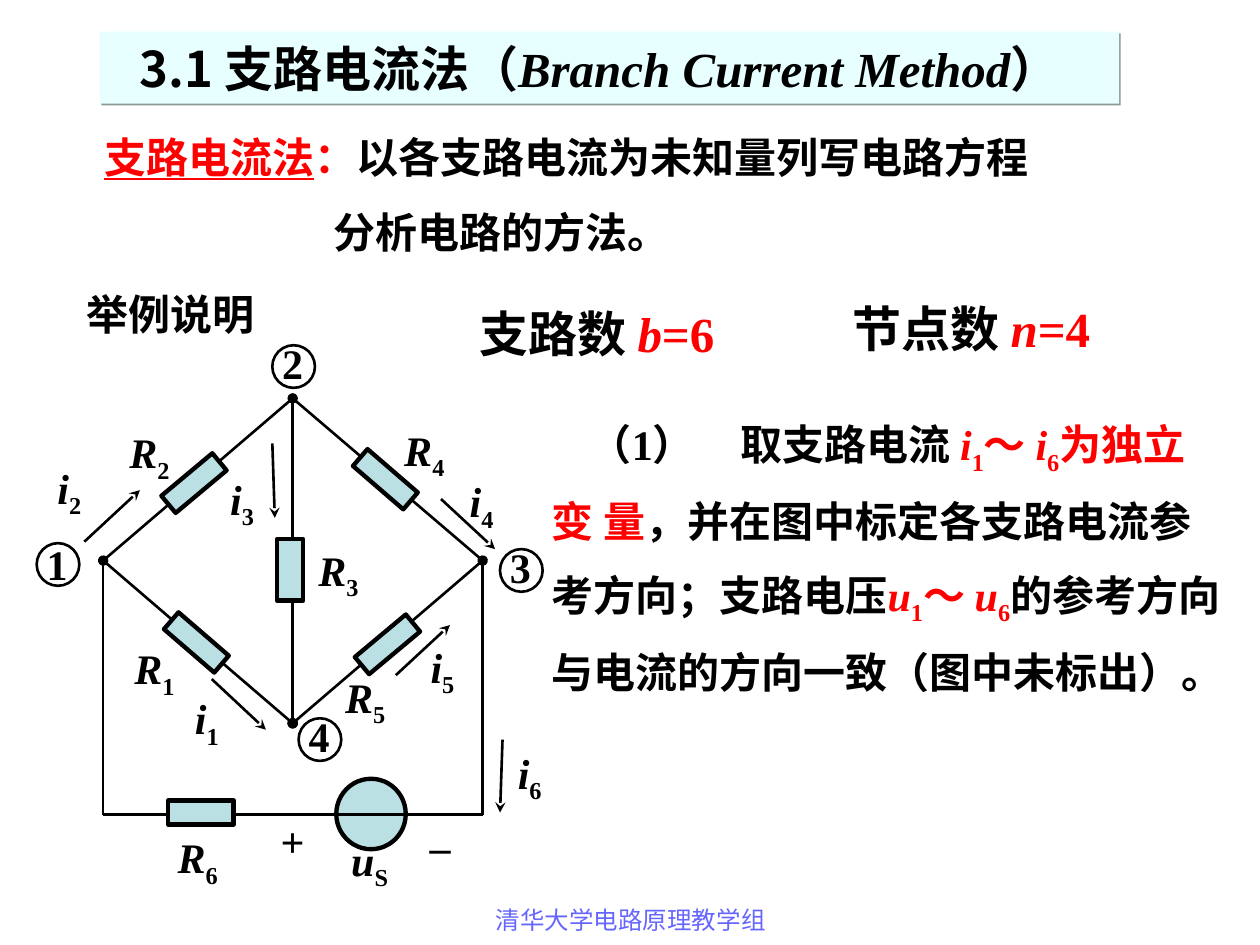
from lxml import etree
from pptx import Presentation
from pptx.dml.color import RGBColor
from pptx.enum.shapes import MSO_CONNECTOR as Wire, MSO_SHAPE as Shape
from pptx.enum.text import PP_ALIGN as Align
from pptx.oxml.ns import qn
from pptx.util import Cm, Pt

COLORS = {"ink": "000000", "red": "FF0000", "part": "BBE0E3",
          "banner": "E7FFFF", "shade": "8A9898", "footer": "6666FF"}
LATIN, CHINESE = "Times New Roman", "Noto Sans CJK SC"

# Span styles
PLAIN = {}
ITALIC = {"italic": True}
SUB = {"sub": True}
RED = {"color": "red"}
RED_ITALIC = {**RED, **ITALIC}
RED_SUB = {**RED, **SUB}
HEADING = {"name": CHINESE}

# Circuit, in centimetres
TOP, LEFT, RIGHT, BOTTOM = (5.9, 8.03), (2.08, 11.3), (9.73, 11.3), (5.9, 14.58)
LOW_LEFT, LOW_RIGHT = (2.08, 16.42), (9.73, 16.42)
WIRES = [  # start, end, dots at both ends
    (TOP, BOTTOM, True), (TOP, RIGHT, False), (LEFT, BOTTOM, True),
    (RIGHT, BOTTOM, True), (TOP, LEFT, False), (LEFT, LOW_LEFT, False),
    (RIGHT, LOW_RIGHT, False), (LOW_LEFT, LOW_RIGHT, False),
]
SOURCE = (6.78, 15.7, 1.4, 1.42)
RESISTORS = [  # centre x, centre y, width, length, rotation
    (5.85, 11.49, 0.53, 1.24, 0),
    (3.91, 9.74, 0.45, 1.34, 50.1),
    (7.77, 9.66, 0.45, 1.34, 310.8),
    (7.81, 12.99, 0.45, 1.34, 50.1),
    (3.96, 12.95, 0.45, 1.34, 310.8),
    (4.05, 16.38, 0.48, 1.32, 90),
]
CURRENTS = [  # start, end
    ((1.7, 10.92), (2.82, 9.88)), ((7.98, 13.61), (9.07, 12.6)),
    ((4.27, 13.69), (5.36, 14.71)), ((8.89, 10.06), (9.98, 11.07)),
    ((5.49, 8.94), (5.54, 10.44)), ((10.13, 14.91), (10.08, 16.38)),
]
SYMBOLS = [  # letter, subscript, left, top
    ("R", "1", 2.46, 12.83), ("R", "2", 2.36, 8.48), ("R", "3", 6.17, 10.85),
    ("R", "4", 7.9, 8.43), ("R", "5", 6.71, 13.41), ("R", "6", 3.33, 16.64),
    ("i", "1", 3.68, 13.84), ("i", "2", 0.91, 9.19), ("i", "3", 4.39, 9.42),
    ("i", "4", 9.22, 9.47), ("i", "5", 8.43, 12.8), ("i", "6", 10.19, 14.94),
    ("u", "S", 6.83, 16.69),
]
SIGNS = [("+", 5.41, 16.31), ("–", 8.41, 16.41)]
NODES = [  # number, circle left, circle top, number top
    ("1", 0.74, 10.95, 10.74), ("2", 5.49, 6.96, 6.68),
    ("3", 10.08, 11.07, 10.8), ("4", 6.02, 14.48, 14.2),
]

# Text: each paragraph is a list of (text, style)
TITLE = [("3.1 支路电流法（", HEADING),
         ("Branch Current Method", ITALIC), ("）", HEADING)]
DEFINITION = [
    [("支路电流法", {**RED, "underline": True}), ("：", RED),
     ("以各支路电流为未知量列写电路方程", PLAIN)],
    [("分析电路的方法。", PLAIN)],
]
STEP = [
    ("（1）\t取支路电流 ", PLAIN),
    ("i", RED_ITALIC), ("1", RED_SUB), ("～ ", RED),
    ("i", RED_ITALIC), ("6", RED_SUB), ("为独立变 量", RED),
    ("，并在图中标定各支路电流参考方向；支路电压", PLAIN),
    ("u", RED_ITALIC), ("1", RED_SUB), ("～ ", RED),
    ("u", RED_ITALIC), ("6", RED_SUB),
    ("的参考方向 与电流的方向一致（图中未标出）。", PLAIN),
]
EXAMPLE = [("举例说明", PLAIN)]
COUNTS = [  # label, variable, value, left, top
    ("支路数 ", "b", "=6", 9.42, 5.99), ("节点数 ", "n", "=4", 16.94, 5.89)]
FOOTER = [("清华大学电路原理教学组", {"color": "footer", "bold": False})]


def rgb(name):
    return RGBColor.from_string(COLORS[name])


def add_child(parent, tag, **attributes):
    return etree.SubElement(parent, qn(tag), attributes)


def write(box, paragraphs, size=24, **para_format):
    frame = box.text_frame
    frame.word_wrap = True
    for index, spans in enumerate(paragraphs):
        para = frame.add_paragraph() if index else frame.paragraphs[0]
        for key, value in para_format.items():
            setattr(para, key, value)
        for text, style in spans:
            span = para.add_run()
            span.text = text
            look = {"name": LATIN, "bold": True, "size": Pt(size), **style}
            span.font.color.rgb = rgb(look.pop("color", "ink"))
            lowered = look.pop("sub", False)
            for key, value in look.items():
                setattr(span.font, key, value)
            props = span.font._element
            add_child(props, "a:ea", typeface=CHINESE)
            if lowered:
                props.set("baseline", "-25000")


def add_text(page, place, paragraphs, **options):
    box = page.shapes.add_textbox(*map(Cm, place))
    write(box, paragraphs, **options)
    return box


def add_shape(page, kind, place, fill=None, line=None, rotation=0):
    shape = page.shapes.add_shape(kind, *map(Cm, place))
    shape.shadow.inherit = False
    shape.rotation = rotation
    if fill:
        shape.fill.solid()
        shape.fill.fore_color.rgb = rgb(fill)
    else:
        shape.fill.background()
    if line:
        shape.line.color.rgb = rgb("ink")
        shape.line.width = Pt(line)
    else:
        shape.line.fill.background()
    return shape


def add_line(page, start, end, head=None, tail=None):
    line = page.shapes.add_connector(Wire.STRAIGHT, *map(Cm, start + end))
    line.line.color.rgb = rgb("ink")
    line.line.width = Pt(1.5)
    for tag, kind in (("a:headEnd", head), ("a:tailEnd", tail)):
        if kind:
            add_child(line.line._get_or_add_ln(), tag, type=kind)
    add_child(line._element.spPr, "a:effectLst")


def draw_circuit(page):
    add_shape(page, Shape.OVAL, SOURCE, "part", 2.5)
    for start, end, dots in WIRES:
        dot = "oval" if dots else None
        add_line(page, start, end, dot, dot)
    for x, y, width, length, rotation in RESISTORS:
        place = (x - width / 2, y - length / 2, width, length)
        add_shape(page, Shape.RECTANGLE, place, "part", 2.5, rotation)
    for start, end in CURRENTS:
        add_line(page, start, end, tail="stealth")
    for letter, index, left, top in SYMBOLS:
        add_text(page, (left, top, 1.47, 1.42), [[(letter, ITALIC), (index, SUB)]])
    for sign, left, top in SIGNS:
        add_text(page, (left, top, 1.37, 1.27), [[(sign, PLAIN)]])
    for number, left, top, text_top in NODES:
        add_text(page, (left - 0.05, text_top, 1.09, 1.27), [[(number, PLAIN)]])
        add_shape(page, Shape.OVAL, (left, top, 0.86, 0.86), line=1.5)


def draw_title(page):
    banner = add_shape(page, Shape.RECTANGLE, (2.01, 0.64, 20.55, 1.45), "banner")
    effects = banner._element.spPr.find(qn("a:effectLst"))
    shadow = add_child(effects, "a:outerShdw", dist=str(Pt(1.4)), dir="2700000")
    add_child(shadow, "a:srgbClr", val=COLORS["shade"])
    write(banner, [TITLE], size=28, alignment=Align.CENTER)
    banner.text_frame.margin_right = Cm(0.65)


def draw_text(page):
    add_text(page, (1.5, 5.69, 4.93, 1.27), [EXAMPLE])
    for label, variable, value, left, top in COUNTS:
        spans = [(label, PLAIN), (variable, RED_ITALIC), (value, RED)]
        add_text(page, (left, top, 6.4, 1.45), [spans], size=28)

    step = add_text(page, (10.87, 7.85, 14.02, 7.77), [STEP], line_spacing=1.4)
    props = step.text_frame.paragraphs[0]._p.get_or_add_pPr()
    props.set("indent", str(Cm(0.77)))
    add_child(add_child(props, "a:tabLst"), "a:tab", pos=str(Cm(3.69)), algn="l")

    definition = add_text(page, (1.85, 2.01, 19.13, 3.3), DEFINITION, line_spacing=1.5)
    definition.text_frame.margin_right = 0
    second = definition.text_frame.paragraphs[1]
    second._p.get_or_add_pPr().set("marL", str(Cm(4.62)))

    add_text(page, (8.69, 18.11, 8.05, 1.32), [FOOTER], size=14, alignment=Align.CENTER)


def main():
    deck = Presentation()
    deck.slide_width, deck.slide_height = Cm(25.4), Cm(19.05)
    page = deck.slides.add_slide(deck.slide_layouts[6])
    draw_circuit(page)
    draw_title(page)
    draw_text(page)
    deck.save("out.pptx")


if __name__ == "__main__":
    main()
